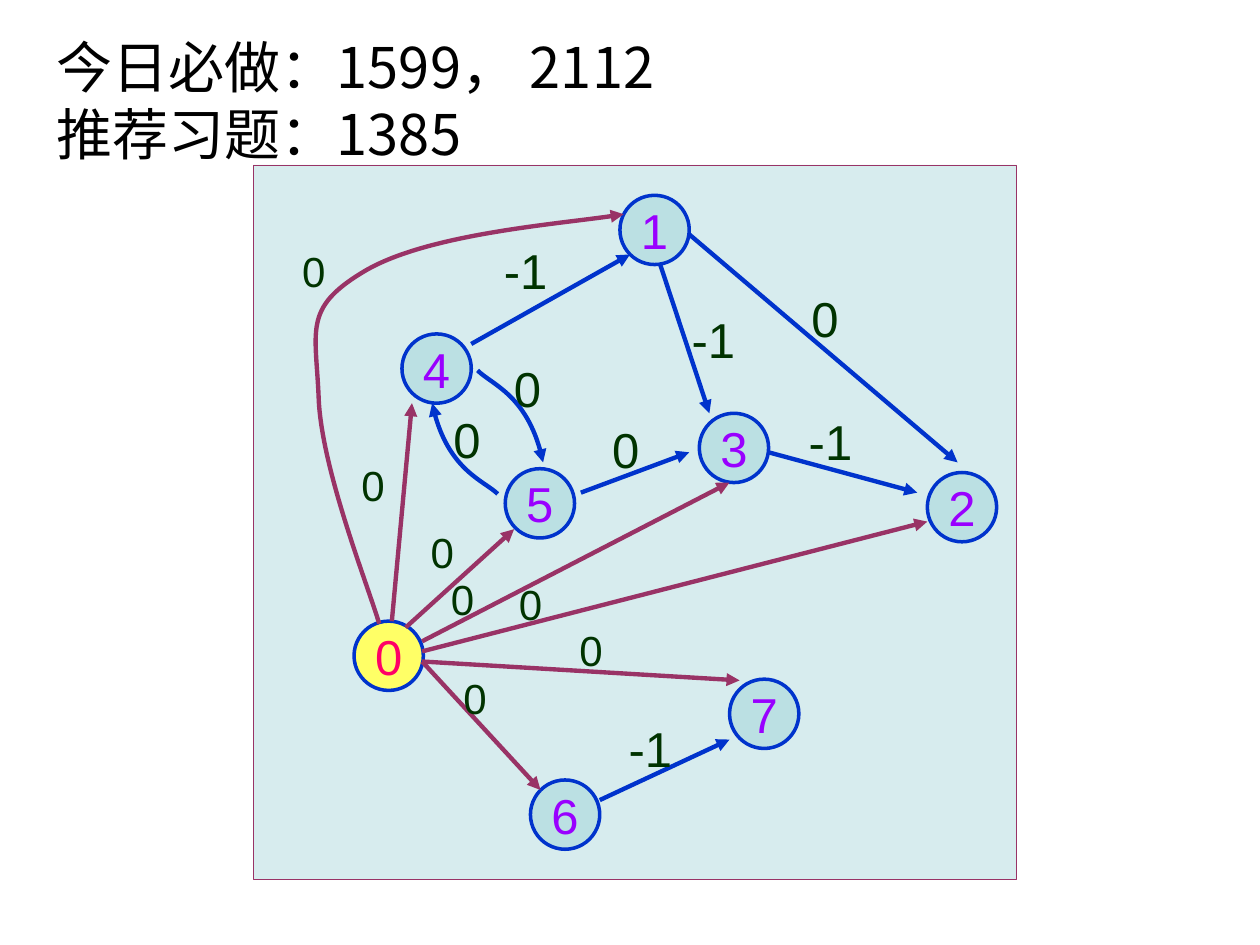
"""Build the constraint graph slide: node 0 reaches every node at weight 0."""
from lxml.etree import SubElement
from pptx import Presentation
from pptx.dml.color import RGBColor
from pptx.enum.shapes import MSO_CONNECTOR, MSO_SHAPE
from pptx.enum.text import MSO_ANCHOR, MSO_AUTO_SIZE, PP_ALIGN
from pptx.oxml.ns import qn
from pptx.util import Inches, Pt

COLORS = {
    "black": "000000", "panel": "BBE0E3", "source": "FFFF66", "blue": "0033CC",
    "plum": "993366", "violet": "9900FF", "pink": "FF0066", "green": "003300",
}
HEADING = ["今日必做：1599， 2112", "推荐习题：1385"]
PANEL = (2.01, 1.31, 6.06, 5.67)
NODE_SIZE = 0.55
LABEL_WIDTH = 0.61
LAYERS = [
    {
        "node_fill": "panel", "node_text": "violet", "edge": "blue",
        "label_size": 28, "label_height": 0.57,
        "nodes": [("4", 3.19, 2.65), ("1", 4.92, 1.55), ("2", 7.36, 3.75), ("3", 5.55, 3.28),
                  ("5", 4.01, 3.72), ("6", 4.21, 6.19), ("7", 5.79, 5.39)],
        "edges": [((3.74, 2.73), (5, 2.02)), ((5.24, 2.1), (5.63, 3.28)),
                  ((5.47, 1.86), (7.6, 3.67)), ((6.1, 3.59), (7.28, 3.91)),
                  ((4.61, 3.91), (5.47, 3.59)), ((4.76, 6.35), (5.79, 5.87))],
        "curves": [[(3.95, 3.92), (3.85, 3.82), (3.54, 3.73), (3.43, 3.2)],
                   [(3.79, 2.94), (3.9, 3.05), (4.2, 3.14), (4.31, 3.67)]],
        "labels": [("-1", 3.9, 1.86), ("-1", 5.39, 2.41), ("-1", 6.32, 3.22), ("0", 6.34, 2.24),
                   ("0", 3.98, 2.8), ("0", 3.5, 3.2), ("0", 4.76, 3.28), ("-1", 4.89, 5.65)],
    },
    {
        "node_fill": "source", "node_text": "pink", "edge": "plum",
        "label_size": 24, "label_height": 0.5,
        "nodes": [("0", 2.81, 4.93)],
        "edges": [((3.11, 4.93), (3.27, 3.2)), ((3.22, 4.98), (4.08, 4.2)),
                  ((3.35, 5.09), (5.79, 3.83)), ((3.35, 5.17), (7.36, 4.14)),
                  ((3.35, 5.25), (4.29, 6.27)), ((3.35, 5.25), (5.87, 5.4))],
        "curves": [[(3.01, 4.95), (2.91, 4.62), (2.56, 3.74), (2.53, 3.18), (2.51, 2.62),
                    (2.4, 2.45), (2.88, 2.16), (3.37, 1.86), (4.54, 1.77), (4.95, 1.7)]],
        "labels": [("0", 2.3, 1.9), ("0", 2.77, 3.6), ("0", 3.32, 4.13), ("0", 3.48, 4.5),
                   ("0", 4.02, 4.54), ("0", 4.5, 4.91), ("0", 3.58, 5.29)],
    },
]


def rgb(color):
    return RGBColor.from_string(COLORS[color])


def set_line(shape, color, width):
    shape.line.color.rgb = rgb(color)
    shape.line.width = Pt(width)


def set_font(paragraph, face, size, color):
    font = paragraph.font
    font.name, font.size = face, Pt(size)
    font.color.rgb = rgb(color)
    SubElement(font._element, qn("a:ea"), typeface=face)


def add_filled(shapes, preset, box, fill, line, width):
    shape = shapes.add_shape(preset, *map(Inches, box))
    shape.shadow.inherit = False
    shape.fill.solid()
    shape.fill.fore_color.rgb = rgb(fill)
    set_line(shape, line, width)
    return shape


def add_text(shapes, lines, box, face, size, color):
    frame = shapes.add_textbox(*map(Inches, box)).text_frame
    frame.word_wrap = True
    frame.auto_size = MSO_AUTO_SIZE.SHAPE_TO_FIT_TEXT
    frame.text = "\n".join(lines)
    for paragraph in frame.paragraphs:
        set_font(paragraph, face, size, color)


def add_node(shapes, name, left, top, fill, color):
    node = add_filled(shapes, MSO_SHAPE.OVAL, (left, top, NODE_SIZE, NODE_SIZE), fill, "blue", 2)
    frame = node.text_frame
    frame.word_wrap = False
    frame.vertical_anchor = MSO_ANCHOR.MIDDLE
    frame.text = name
    paragraph = frame.paragraphs[0]
    paragraph.alignment = PP_ALIGN.CENTER
    set_font(paragraph, "Arial", 28, color)


def style_arrow(arrow, color):
    set_line(arrow, color, 2.5)
    SubElement(arrow.line._get_or_add_ln(), qn("a:tailEnd"), type="triangle")


def add_edge(shapes, start, end, color):
    edge = shapes.add_connector(MSO_CONNECTOR.STRAIGHT, *map(Inches, start + end))
    style_arrow(edge, color)
    SubElement(edge._element.spPr, qn("a:effectLst"))


def add_curve(shapes, points, color):
    start, *rest = [(Inches(x), Inches(y)) for x, y in points]
    builder = shapes.build_freeform(*start)
    builder.add_line_segments(rest, close=False)
    curve = builder.convert_to_shape()
    curve.shadow.inherit = False
    curve.fill.background()
    style_arrow(curve, color)
    outline = next(curve._element.iter(qn("a:path")))
    segments = outline.findall(qn("a:lnTo"))
    for first in range(0, len(segments), 3):
        bezier = SubElement(outline, qn("a:cubicBezTo"))
        for segment in segments[first:first + 3]:
            bezier.append(segment[0])
            outline.remove(segment)


def add_layer(shapes, layer):
    for name, left, top in layer["nodes"]:
        add_node(shapes, name, left, top, layer["node_fill"], layer["node_text"])
    for start, end in layer["edges"]:
        add_edge(shapes, start, end, layer["edge"])
    for points in layer["curves"]:
        add_curve(shapes, points, layer["edge"])
    for weight, left, top in layer["labels"]:
        box = (left, top, LABEL_WIDTH, layer["label_height"])
        add_text(shapes, [weight], box, "Arial", layer["label_size"], "green")


def main():
    deck = Presentation()
    deck.slide_width, deck.slide_height = Inches(10), Inches(7.5)
    shapes = deck.slides.add_slide(deck.slide_layouts[6]).shapes
    add_text(shapes, HEADING, (0.35, 0.21, 7.74, 1.17), "Noto Sans CJK SC", 32, "black")
    panel = add_filled(shapes, MSO_SHAPE.RECTANGLE, PANEL, "panel", "plum", 0.25)
    tint = panel.fill._xPr.find(qn("a:solidFill"))[0]
    SubElement(tint, qn("a:alpha"), val="59000")
    for layer in LAYERS:
        add_layer(shapes, layer)
    deck.save("out.pptx")


if __name__ == "__main__":
    main()
